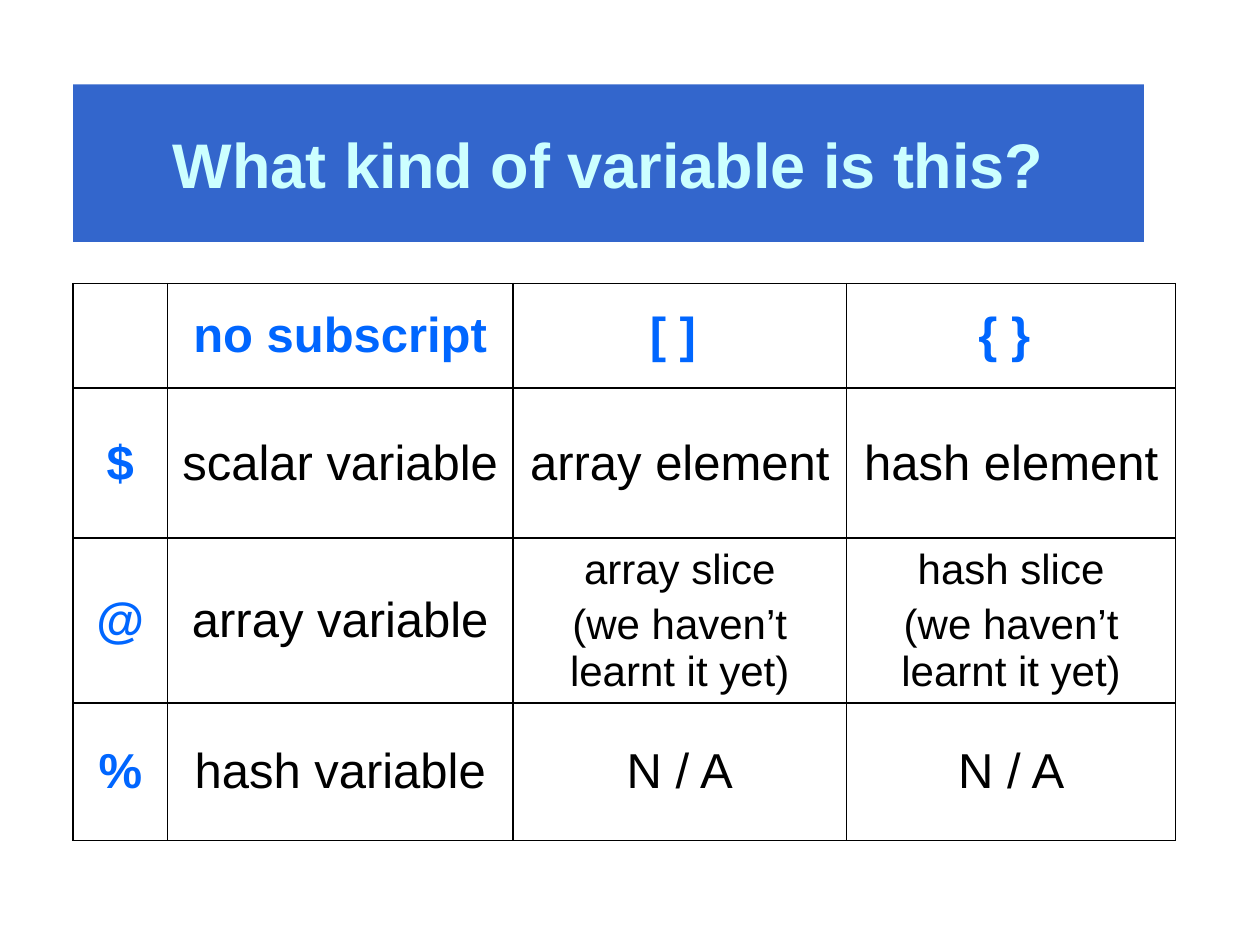
"""Build a slide with a table of variable kinds by sigil and subscript."""
from dataclasses import dataclass

from lxml.etree import SubElement as Sub
from pptx import Presentation
from pptx.dml.color import RGBColor as Rgb
from pptx.enum.shapes import MSO_SHAPE as Shape
from pptx.enum.text import MSO_ANCHOR as Anchor, PP_ALIGN as Align
from pptx.oxml.ns import qn
from pptx.util import Inches, Pt


@dataclass(frozen=True)
class Theme:
    """Hold the colours, font and type sizes."""
    font: str = "Arial"
    band: str = "3366CC"
    title: str = "CCFFFF"
    head: str = "0066FF"
    body: str = "000000"
    rule: str = "000000"
    paper: str = "FFFFFF"
    big: int = 36
    mid: int = 28
    small: int = 24


THEME = Theme()
COLS = (0.75, 2.74, 2.65, 2.61)
ROWS = (0.83, 1.19, 1.31, 1.09)
NOTE = "(we haven’t learnt it yet)"
CELLS = (
    ("", "no subscript", "[ ] ", "{ } "),
    ("$", "scalar variable", "array element", "hash element"),
    ("@", "array variable", f"array slice\n{NOTE}", f"hash slice\n{NOTE}"),
    ("%", "hash variable", "N / A", "N / A"),
)


def write(frame, text, size, color, bold):
    """Fill a text frame with centred paragraphs."""
    look = {"name": THEME.font, "size": Pt(size), "bold": bold}
    for i, line in enumerate(text.split("\n")):
        para = frame.add_paragraph() if i else frame.paragraphs[0]
        para.alignment = Align.CENTER
        if i:
            para.space_before = Pt(size * 0.2)
        run = para.add_run()
        run.text = line
        for key, value in look.items():
            setattr(run.font, key, value)
        run.font.color.rgb = Rgb.from_string(color)


def paint(fill, color):
    """Give a fill one solid colour."""
    fill.solid()
    fill.fore_color.rgb = Rgb.from_string(color)


def border(cell):
    """Draw a thin rule on each side of a cell."""
    props = cell._tc.get_or_add_tcPr()
    for side in "LRTB":
        line = Sub(props, qn(f"a:ln{side}"), w=str(Pt(1)))
        solid = Sub(line, qn("a:solidFill"))
        Sub(solid, qn("a:srgbClr"), val=THEME.rule)


def add_title(slide, text):
    """Add the title band."""
    box = slide.shapes.add_shape(
        Shape.RECTANGLE, Inches(0.58), Inches(0.67), Inches(8.5), Inches(1.25))
    box.shadow.inherit = False
    box.line.fill.background()
    paint(box.fill, THEME.band)
    box.text_frame.word_wrap = True
    box.text_frame.vertical_anchor = Anchor.MIDDLE
    write(box.text_frame, text, THEME.big, THEME.title, True)


def add_grid(slide):
    """Add the table of variable kinds."""
    grid = slide.shapes.add_table(
        len(ROWS), len(COLS), Inches(0.58), Inches(2.25),
        Inches(sum(COLS)), Inches(sum(ROWS))).table
    for key in ("first_row", "horz_banding"):
        setattr(grid, key, False)
    for col, width in zip(grid.columns, COLS):
        col.width = Inches(width)
    for row, height in zip(grid.rows, ROWS):
        row.height = Inches(height)
    for r, line in enumerate(CELLS):
        for c, text in enumerate(line):
            cell = grid.cell(r, c)
            border(cell)
            paint(cell.fill, THEME.paper)
            cell.vertical_anchor = Anchor.MIDDLE
            head = r == 0 or c == 0
            size = THEME.small if "\n" in text else THEME.mid
            color = THEME.head if head else THEME.body
            if text:
                write(cell.text_frame, text, size, color, head)


def main():
    """Build and save the slide."""
    deck = Presentation()
    deck.slide_width, deck.slide_height = Inches(10), Inches(7.5)
    slide = deck.slides.add_slide(deck.slide_layouts[6])
    add_title(slide, "What kind of variable is this?")
    add_grid(slide)
    deck.save("out.pptx")


if __name__ == "__main__":
    main()
